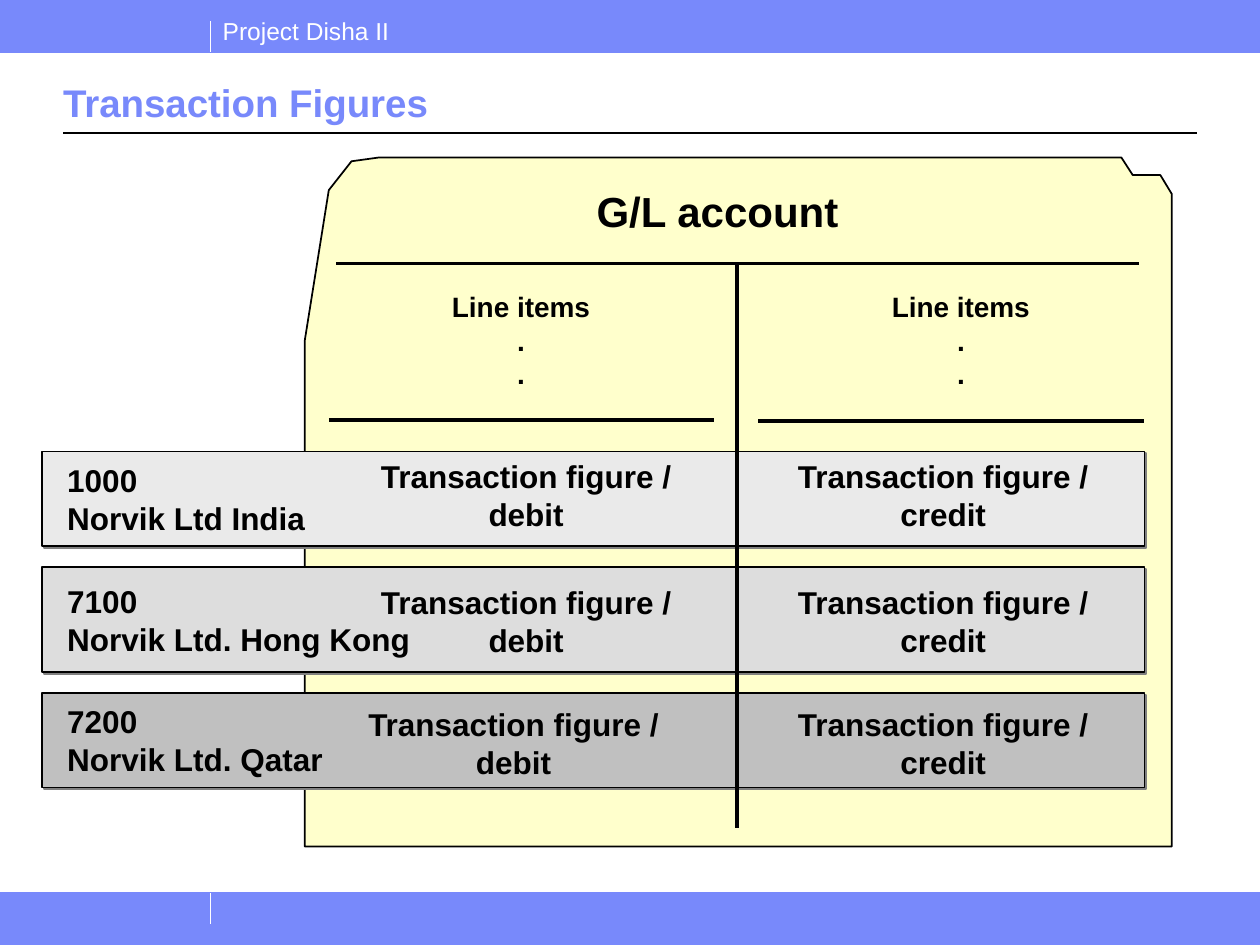
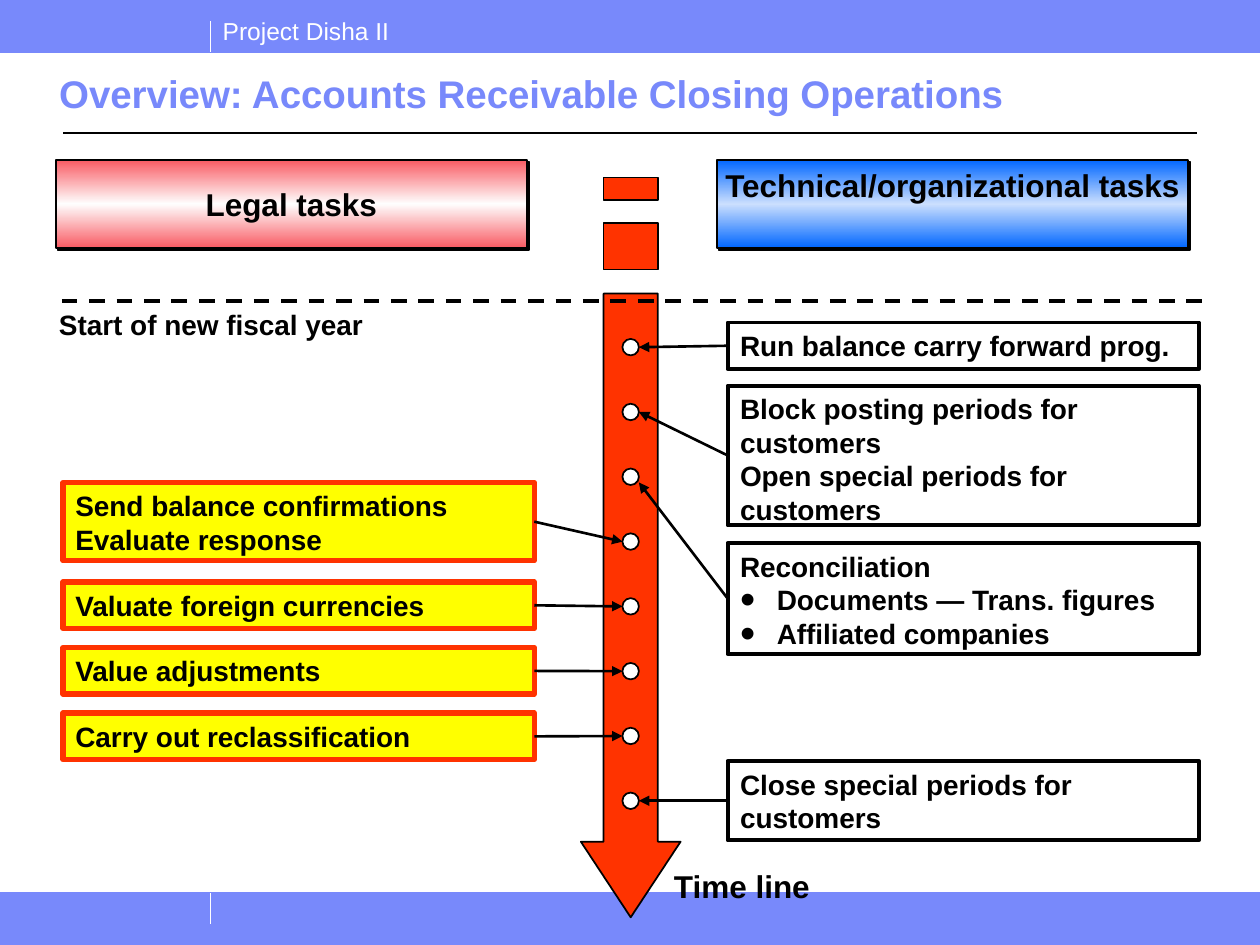
import copy
import pptx
import pptx.dml.color
import pptx.enum.dml
import pptx.enum.shapes
import pptx.enum.text
import pptx.oxml
import pptx.oxml.ns
import pptx.util

Pt = pptx.util.Pt
RGB = pptx.dml.color.RGBColor
SHAPE = pptx.enum.shapes.MSO_SHAPE
ALIGN = pptx.enum.text.PP_ALIGN
ANCHOR = pptx.enum.text.MSO_ANCHOR
DASH = pptx.enum.dml.MSO_LINE.DASH
qn = pptx.oxml.ns.qn

BLUE = RGB(0x78, 0x89, 0xFB)
WHITE = RGB(0xFF, 0xFF, 0xFF)
BLACK = RGB(0, 0, 0)
GREY = RGB(0x80, 0x80, 0x80)
CREAM = RGB(0xFF, 0xFF, 0xCC)
RED = RGB(0xFF, 0x33, 0)
YELLOW = RGB(0xFF, 0xFF, 0)
LEGAL_FILL = [RGB(0xF9, 0x5B, 0x63), RGB(0xFE, 0xFE, 0xFE)]
TECHNICAL_FILL = [RGB(0, 0x66, 0xFF), RGB(0xCB, 0xDF, 0xFE)]

FONT = "Arial"
WIDTH, HEIGHT, BAND = 720, 540, 30.2
RULE_X = 120.2

BODY = {"size": Pt(16), "bold": True}
LARGE = {"size": Pt(18), "bold": True}
HEADING = {"size": Pt(24), "bold": True}
TITLE = {"size": Pt(22), "bold": True}
RUNNING = {"size": Pt(14), "bold": False}

FOLDER = [(174.2, 194.4), (187.9, 108.7), (200.9, 92.2), (216.7, 90), (640.8, 90),
          (647.3, 100.1), (663.1, 100.1), (669.6, 110.9), (669.6, 483.8), (174.2, 483.8)]
ACCOUNT_LINES = [((192.2, 150.5), (650.9, 150.5)), ((433.4, 240.5), (653.8, 240.5)),
                 ((187.9, 240), (408.2, 240))]
DIVIDER = ((421.2, 150), (421.2, 473))
LINE_ITEMS = ["Line items", ".", "."]
LINE_ITEMS_X = [251.3, 502.6]
COMPANIES = [
    {"top": 258, "height": 54, "fill": RGB(0xEA, 0xEA, 0xEA), "figure_y": 257.8, "debit_x": 193,
     "lines": ["1000", "Norvik Ltd India"]},
    {"top": 324, "height": 60, "fill": RGB(0xDD, 0xDD, 0xDD), "figure_y": 329.8, "debit_x": 193,
     "lines": ["7100", "Norvik Ltd. Hong Kong"]},
    {"top": 396, "height": 54, "fill": RGB(0xC0, 0xC0, 0xC0), "figure_y": 399.6, "debit_x": 185.8,
     "lines": ["7200", "Norvik Ltd. Qatar"]},
]

HEADERS = [("Legal tasks", 31.9, LEGAL_FILL, ANCHOR.MIDDLE),
           ("Technical/organizational tasks", 409.7, TECHNICAL_FILL, ANCHOR.TOP)]
AXIS_X = 360.4
SHAFT, HEAD = 15.5, 28.5
SHAFT_TOP, HEAD_TOP, TIP = 167.8, 481, 524.2
DASH_BLOCKS = [(101.5, 114.5), (127.4, 154.1)]
DOT, FIRST_DOT, DOT_STEP = 9.4, 198.4, 37.03
TASK_WIDTH = 269.3
SIDES = {
    "legal": {"left": 36, "fill": YELLOW, "line": RED, "width": 3, "site": 3, "toward": -1},
    "technical": {"left": 415.8, "fill": None, "line": BLACK, "width": 2.25, "site": 1, "toward": 1},
}
TASKS = [
    ("technical", 184.3, 26.6, 0, ["Run balance carry forward prog."]),
    ("technical", 220.3, 79.9, 0, ["Block posting periods for", "customers",
                                   "Open special periods for", "customers"]),
    ("technical", 310.3, 63.4, 3.2, ["Reconciliation", "• Documents — Trans. figures",
                                     "• Affiliated companies"]),
    ("legal", 275.8, 44.6, 0, ["Send balance confirmations", "Evaluate response"]),
    ("legal", 332.6, 26.6, 0, ["Valuate foreign currencies"]),
    ("legal", 370.1, 26.6, 0, ["Value adjustments"]),
    ("legal", 407.5, 26.6, 0, ["Carry out reclassification"]),
    ("technical", 434.9, 45.4, 0, ["Close special periods for", "customers"]),
]


def put(obj, values):
    for name, value in values.items():
        setattr(obj, name, value)


def add_xml(parent, xml):
    ns = pptx.oxml.ns.nsdecls("a")
    for child in list(pptx.oxml.parse_xml(f"<a:wrap {ns}>{xml}</a:wrap>")):
        parent.append(child)


def bullet(p):
    pr = p._p.get_or_add_pPr()
    pr.set("marL", str(Pt(21)))
    pr.set("indent", str(-Pt(21)))
    add_xml(pr, f'<a:buClr><a:srgbClr val="{BLACK}"/></a:buClr><a:buSzPct val="155000"/>'
                f'<a:buFont typeface="{FONT}"/><a:buChar char="•"/>')


def write(shape, lines, font, color=BLACK, align=ALIGN.LEFT, anchor=ANCHOR.TOP,
          wrap=True, inset=(7.2, 3.6)):
    tf = shape.text_frame
    put(tf, {"word_wrap": wrap, "vertical_anchor": anchor,
             "auto_size": pptx.enum.text.MSO_AUTO_SIZE.NONE,
             "margin_left": Pt(inset[0]), "margin_right": Pt(inset[0]),
             "margin_top": Pt(inset[1]), "margin_bottom": Pt(inset[1])})
    for i, text in enumerate(lines):
        p = tf.paragraphs[0] if i == 0 else tf.add_paragraph()
        p.alignment = align
        if text.startswith("• "):
            bullet(p)
        r = p.add_run()
        r.text = text.removeprefix("• ")
        put(r.font, {"name": FONT, **font})
        r.font.color.rgb = color


def paint(shape, fill, outline_color, width):
    if fill is None:
        shape.fill.background()
    elif isinstance(fill, list):
        shape.fill.gradient()
        shape.fill.gradient_angle = 90
        stops = shape.element.spPr.find(".//" + qn("a:gsLst"))
        stops.append(copy.deepcopy(stops[0]))
        edge, middle = fill
        for stop, place, color in zip(shape.fill.gradient_stops, (0, 0.5, 1), (edge, middle, edge)):
            stop.position = place
            stop.color.rgb = color
    else:
        shape.fill.solid()
        shape.fill.fore_color.rgb = fill
    shape.line.color.rgb = outline_color
    shape.line.width = Pt(width)
    shape.shadow.inherit = False
    return shape


def box(s, x, y, w, h, fill, outline_color=BLACK, width=1, kind=SHAPE.RECTANGLE):
    return paint(s.shapes.add_shape(kind, Pt(x), Pt(y), Pt(w), Pt(h)), fill, outline_color, width)


def cast_shadow(shape, color):
    add_xml(shape.element.spPr.find(qn("a:effectLst")),
            f'<a:outerShdw dist="{Pt(1.4)}" dir="2700000" algn="ctr" rotWithShape="0">'
            f'<a:srgbClr val="{color}"/></a:outerShdw>')


def label(s, x, y, w, h, lines, font, **format_values):
    write(s.shapes.add_textbox(Pt(x), Pt(y), Pt(w), Pt(h)), lines, font, **format_values)


def line(s, start, end, color=BLACK, width=2, dash=None, arrow=False, source=None):
    c = s.shapes.add_connector(pptx.enum.shapes.MSO_CONNECTOR.STRAIGHT,
                               *(Pt(v) for v in (*start, *end)))
    if source:
        c.begin_connect(*source)
    c.line.color.rgb = color
    put(c.line, {"width": Pt(width), "dash_style": dash})
    if arrow:
        add_xml(c.element.spPr.find(qn("a:ln")), '<a:tailEnd type="triangle"/>')
    add_xml(c.element.spPr, "<a:effectLst/>")


def outline(s, contours, fill):
    first, *others = [[(Pt(x), Pt(y)) for x, y in points] for points in contours]
    builder = s.shapes.build_freeform(*first[0], scale=1.0)
    builder.add_line_segments(first[1:], close=True)
    for points in others:
        builder.move_to(*points[0])
        builder.add_line_segments(points[1:], close=True)
    paint(builder.convert_to_shape(), fill, BLACK, 1)


def furnish(s):
    for y in (HEIGHT - BAND, 0):
        box(s, 0, y, WIDTH, BAND, BLUE, BLUE, 0.75)
    label(s, RULE_X, 5.8, 109.4, 24.5, ["Project Disha II"], RUNNING, color=WHITE, wrap=False)
    for y in (12.2, HEIGHT - BAND):
        line(s, (RULE_X, y + 18), (RULE_X, y), WHITE, 0.75)
    for y in (BAND, HEIGHT - BAND):
        line(s, (0, y), (WIDTH, y), BLUE, 0.5)
    line(s, (36, 76.1), (684, 76.1), BLACK, 0.75)


def share_furniture(s):
    furnish(s)
    title, *unused = s.slide_layout.placeholders
    tree = title.element.getparent()
    for ph in unused:
        tree.remove(ph.element)
    for shape in list(s.shapes):
        if not shape.is_placeholder:
            tree.append(shape.element)


def new_slide(prs, title, x, y, w, h):
    s = prs.slides.add_slide(prs.slide_layouts[5])
    put(s.shapes.title, {"left": Pt(x), "top": Pt(y), "width": Pt(w), "height": Pt(h)})
    write(s.shapes.title, [title], TITLE, color=BLUE, anchor=ANCHOR.BOTTOM, inset=(0, 3.6))
    return s


def draw_account(s):
    outline(s, [FOLDER], CREAM)
    for ends in ACCOUNT_LINES:
        line(s, *ends)
    label(s, 329, 102.2, 162, 36, ["G/L account"], HEADING, align=ALIGN.CENTER, anchor=ANCHOR.MIDDLE)
    for x in LINE_ITEMS_X:
        label(s, x, 162, 92.9, 64.8, LINE_ITEMS, BODY, align=ALIGN.CENTER, wrap=False)
    for company in COMPANIES:
        row = box(s, 24, company["top"], 630, company["height"], company["fill"])
        cast_shadow(row, GREY)
        write(row, company["lines"], LARGE, anchor=ANCHOR.MIDDLE, inset=(14.4, 0))
        for x, w, side in ((company["debit_x"], 215.3, "debit"), (424.1, 229.7, "credit")):
            label(s, x, company["figure_y"], w, 50.4, [f"Transaction figure / {side}"], LARGE,
                  align=ALIGN.CENTER)
    line(s, *DIVIDER)


def draw_closing(s):
    left, right = AXIS_X - SHAFT, AXIS_X + SHAFT
    arrow = [(right, SHAFT_TOP), (right, HEAD_TOP), (AXIS_X + HEAD, HEAD_TOP), (AXIS_X, TIP),
             (AXIS_X - HEAD, HEAD_TOP), (left, HEAD_TOP), (left, SHAFT_TOP)]
    blocks = [[(right, top), (right, bottom), (left, bottom), (left, top)]
              for top, bottom in DASH_BLOCKS]
    outline(s, [arrow, *blocks], RED)
    for text, x, fill, anchor in HEADERS:
        header = box(s, x, 91.4, TASK_WIDTH, 50.4, fill)
        cast_shadow(header, BLACK)
        write(header, [text], LARGE, align=ALIGN.CENTER, anchor=anchor, inset=(0, 3.6))
    line(s, (35.3, 172.1), (691.2, 172.1), width=2.25, dash=DASH)
    label(s, 26.6, 172.1, 187.9, 26.6, ["Start of new fiscal year"], BODY, wrap=False)
    label(s, 378, 491.8, 92.2, 28.8, ["Time line"], LARGE, wrap=False)
    for i, (side_name, top, height, drop, lines) in enumerate(TASKS):
        side = SIDES[side_name]
        dot_y = FIRST_DOT + i * DOT_STEP
        task = box(s, side["left"], top, TASK_WIDTH, height, side["fill"], side["line"], side["width"])
        write(task, lines, BODY)
        box(s, AXIS_X - DOT / 2, dot_y - DOT / 2, DOT, DOT, WHITE, kind=SHAPE.OVAL)
        end = (AXIS_X + side["toward"] * DOT / 2, dot_y + drop)
        line(s, end, end, width=1.5, arrow=True, source=(task, side["site"]))


def main():
    prs = pptx.Presentation()
    prs.slide_width, prs.slide_height = Pt(WIDTH), Pt(HEIGHT)
    s = new_slide(prs, "Transaction Figures", 36, 38.9, 648, 36)
    share_furniture(s)
    draw_account(s)
    s = new_slide(prs, "Overview: Accounts Receivable Closing Operations", 33.8, 25.9, 570.2, 43.9)
    draw_closing(s)
    prs.save("out.pptx")


if __name__ == "__main__":
    main()
